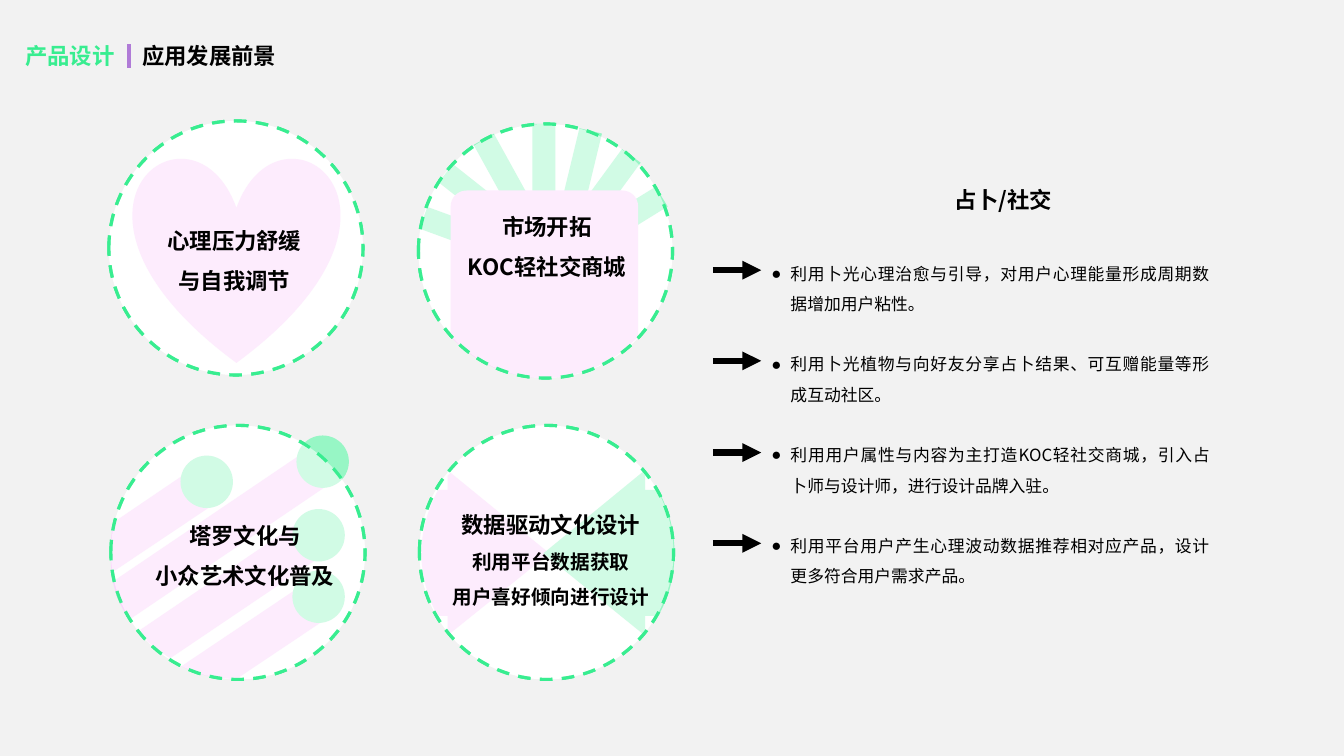
from lxml import etree
from pptx import Presentation
from pptx import util as u
from pptx.dml.color import RGBColor
from pptx.enum import dml, shapes, text
from pptx.oxml.ns import qn

PX = 9144  # EMU per px, 100 px to the inch
GREEN, MINT, PINK, PURPLE = "38ED90", "97F6C5", "FBD4FC", "B07BD7"
WHITE, BLACK, GREY = "FFFFFF", "000000", "F2F2F2"
SANS = "Noto Sans CJK SC"
CIRCLE = 252
DOT = 52

# Outlines: (x, y) is a corner, six numbers are a cubic curve
LEFT_WEDGE = [(447, 469), (545, 549), (447, 628), (444, 625), (444, 611), (435, 611), (433, 609),
              (424, 591, 418, 571, 418, 549), (418, 527, 424, 507, 433, 489),
              (435, 486), (444, 486), (444, 472)]
RIGHT_WEDGE = [(639, 467), (640, 468), (640, 486), (653, 486), (654, 489),
               (664, 507, 669, 527, 669, 549), (669, 571, 664, 591, 654, 609),
               (653, 611), (640, 611), (640, 630), (639, 630), (539, 549)]
SHOP = [(463, 189), (617, 189), (626, 189, 633, 196, 633, 205), (633, 334), (629, 338),
        (606, 361, 575, 375, 540, 375), (505, 375, 474, 361, 451, 338),
        (447, 334), (447, 205), (447, 196, 454, 189, 463, 189)]
# Each shop ray: left, top, rotation
RAYS = [(528, 123, 0), (559, 128, 13.6), (576, 142, 36.2), (589, 164, 58.3),
        (482, 147, 308.4), (500, 130, 331.1), (470, 173, 290.1)]
# Each stripe with the left and top of the dot at its end
STRIPES = [
    ([(200, 459), (223, 493), (111, 568), (110, 561), (110, 557, 110, 552, 110, 548),
      (110, 539, 110, 531, 112, 522), (113, 518)], (179, 452)),
    ([(307, 445), (315, 451), (321, 456, 327, 461, 332, 468), (336, 474), (128, 615), (124, 608),
      (120, 601, 116, 593, 114, 585), (112, 577)], (294, 432)),
    ([(304, 513), (326, 547), (169, 653), (167, 652), (163, 649, 160, 647, 157, 645),
      (147, 637), (139, 625)], (290, 505)),
    ([(311, 573), (334, 607), (234, 674), (222, 673), (210, 672, 197, 669, 186, 664),
      (180, 661)], (290, 566)),
]
POINTS = [
    "利用卜光心理治愈与引导，对用户心理能量形成周期数据增加用户粘性。",
    "利用卜光植物与向好友分享占卜结果、可互赠能量等形成互动社区。",
    "利用用户属性与内容为主打造KOC轻社交商城，引入占卜师与设计师，进行设计品牌入驻。",
    "利用平台用户产生心理波动数据推荐相对应产品，设计更多符合用户需求产品。",
]


def px(*values):
    return [u.Emu(round(v * PX)) for v in values]


def rgb(color):
    return RGBColor.from_string(color)


def paint(sp, color):
    sp.shadow.inherit = False
    sp.fill.solid()
    sp.fill.fore_color.rgb = rgb(color)
    sp.line.fill.background()
    return sp


def add_preset(s, kind, box, color, rotation=0):
    sp = paint(s.shapes.add_shape(kind, *px(*box)), color)
    sp.rotation = rotation
    return sp


def add_circle(s, left, top, alpha=None):
    sp = add_preset(s, shapes.MSO_SHAPE.OVAL, (left, top, CIRCLE, CIRCLE), WHITE)
    sp.line.color.rgb = rgb(GREEN)
    sp.line.width = u.Pt(2.25)
    sp.line.dash_style = dml.MSO_LINE.DASH
    if alpha:
        clr = sp._element.spPr.find(qn("a:solidFill"))[0]
        etree.SubElement(clr, qn("a:alpha"), val=str(alpha * 1000))


def add_outline(s, outline, color, steps=8):
    points = []
    for step in outline:
        if len(step) == 2:
            points.append(step)
            continue
        ends = [points[-1], step[:2], step[2:4], step[4:]]
        for i in range(1, steps + 1):
            t = i / steps
            weights = ((1 - t) ** 3, 3 * t * (1 - t) ** 2, 3 * t * t * (1 - t), t ** 3)
            points.append(tuple(sum(w * e[k] for w, e in zip(weights, ends)) for k in (0, 1)))
    points = [px(*point) for point in points]
    builder = s.shapes.build_freeform(*points[0], scale=1.0)
    builder.add_line_segments(points[1:], close=True)
    paint(builder.convert_to_shape(), color)


def add_line(s, ends, color, width, arrow=False):
    c = s.shapes.add_connector(shapes.MSO_CONNECTOR.STRAIGHT, *px(*ends))
    c.line.color.rgb = rgb(color)
    c.line.width = u.Pt(width)
    spPr = c._element.spPr
    if arrow:
        etree.SubElement(spPr.find(qn("a:ln")), qn("a:tailEnd"), type="triangle")
    etree.SubElement(spPr, qn("a:effectLst"))


def style(p, size, color=BLACK, bold=True, font=SANS):
    for r in p.runs:
        r.font.size = u.Pt(size)
        r.font.bold = bold
        r.font.name = font
        r.font.color.rgb = rgb(color)
        latin = r._r.rPr.find(qn("a:latin"))
        latin.addnext(etree.Element(qn("a:ea"), typeface=SANS))


def place(sp, box):
    sp.left, sp.top, sp.width, sp.height = px(*box)
    tf = sp.text_frame
    tf.auto_size = text.MSO_AUTO_SIZE.NONE
    tf.vertical_anchor = text.MSO_ANCHOR.TOP
    tf.word_wrap = True
    return tf


def add_caption(s, box, lines, sizes, wrap=False):
    tf = s.shapes.add_textbox(*px(*box)).text_frame
    tf.word_wrap = wrap
    tf.text = "\n".join(lines)
    for p, size in zip(tf.paragraphs, sizes):
        p.alignment = text.PP_ALIGN.CENTER
        p.line_spacing = 1.5
        style(p, size)


def set_bullet(p, margin, indent, char=None):
    pPr = p._p.get_or_add_pPr()
    pPr.set("marL", str(margin * PX))
    pPr.set("indent", str(indent * PX))
    if char:
        etree.SubElement(pPr, qn("a:buChar"), char=char)
    else:
        etree.SubElement(pPr, qn("a:buNone"))


def add_header(s):
    section = s.shapes.add_textbox(*px(15, 37, 125, 37)).text_frame
    section.word_wrap = True
    section.text = "产品设计"
    style(section.paragraphs[0], 16, GREEN, font="Arial")
    add_line(s, (128, 44, 128, 67), PURPLE, 3)
    title = place(s.shapes.title, (131, 37, 236, 37))
    title.text = "应用发展前景"
    title.paragraphs[0].alignment = text.PP_ALIGN.LEFT
    style(title.paragraphs[0], 16, font="Arial")


def add_points(s):
    tf = place(s.placeholders[1], (755, 166, 455, 455))
    tf.text = "\n".join(["占卜/社交"] + POINTS)
    for i, p in enumerate(tf.paragraphs):
        if i == 0:
            set_bullet(p, 0, 25)
            p.alignment = text.PP_ALIGN.CENTER
            p.space_before = u.Pt(0)
            style(p, 16)
        else:
            set_bullet(p, 19, -19, "●")
            p.alignment = text.PP_ALIGN.JUSTIFY
            p.space_before = u.Pt(29 if i == 1 else 21.7)
            style(p, 12, bold=False)
        p.line_spacing = 1.5
        p.space_after = u.Pt(0)
    for y in (268, 358, 449, 539):
        add_line(s, (707, y, 755, y), BLACK, 4.5, arrow=True)


def draw_heart(s):
    add_preset(s, shapes.MSO_SHAPE.HEART, (132, 155, 205, 205), PINK)


def draw_shop(s):
    for left, top, rotation in RAYS:
        add_preset(s, shapes.MSO_SHAPE.RECTANGLE, (left, top, 23, 131), MINT, rotation)
    add_outline(s, SHOP, PINK)


def draw_stripes(s):
    for outline, dot in STRIPES:
        add_outline(s, outline, PINK)
        add_preset(s, shapes.MSO_SHAPE.OVAL, (*dot, DOT, DOT), MINT)


def draw_wedges(s):
    add_outline(s, LEFT_WEDGE, PINK)
    add_outline(s, RIGHT_WEDGE, MINT)


def main():
    prs = Presentation()
    prs.slide_width, prs.slide_height = px(1333, 750)
    s = prs.slides.add_slide(prs.slide_layouts[1])
    s.background.fill.solid()
    s.background.fill.fore_color.rgb = rgb(GREY)
    add_header(s)

    # Circles: white base, artwork, then a translucent veil
    for left, top, draw in ((416, 422, draw_wedges), (415, 123, draw_shop),
                            (110, 422, draw_stripes), (108, 120, draw_heart)):
        add_circle(s, left, top)
        draw(s)
        add_circle(s, left, top, alpha=56)

    # Captions
    add_caption(s, (155, 207, 155, 86), ["心理压力舒缓", "与自我调节"], (16, 16))
    add_caption(s, (452, 193, 181, 86), ["市场开拓", "KOC轻社交商城"], (16, 16), wrap=True)
    add_caption(s, (143, 500, 200, 86), ["塔罗文化与", "小众艺术文化普及"], (16, 16))
    add_caption(s, (438, 489, 217, 117),
                ["数据驱动文化设计", "利用平台数据获取", "用户喜好倾向进行设计"], (16, 14, 14))

    add_points(s)
    prs.save("out.pptx")


if __name__ == "__main__":
    main()
